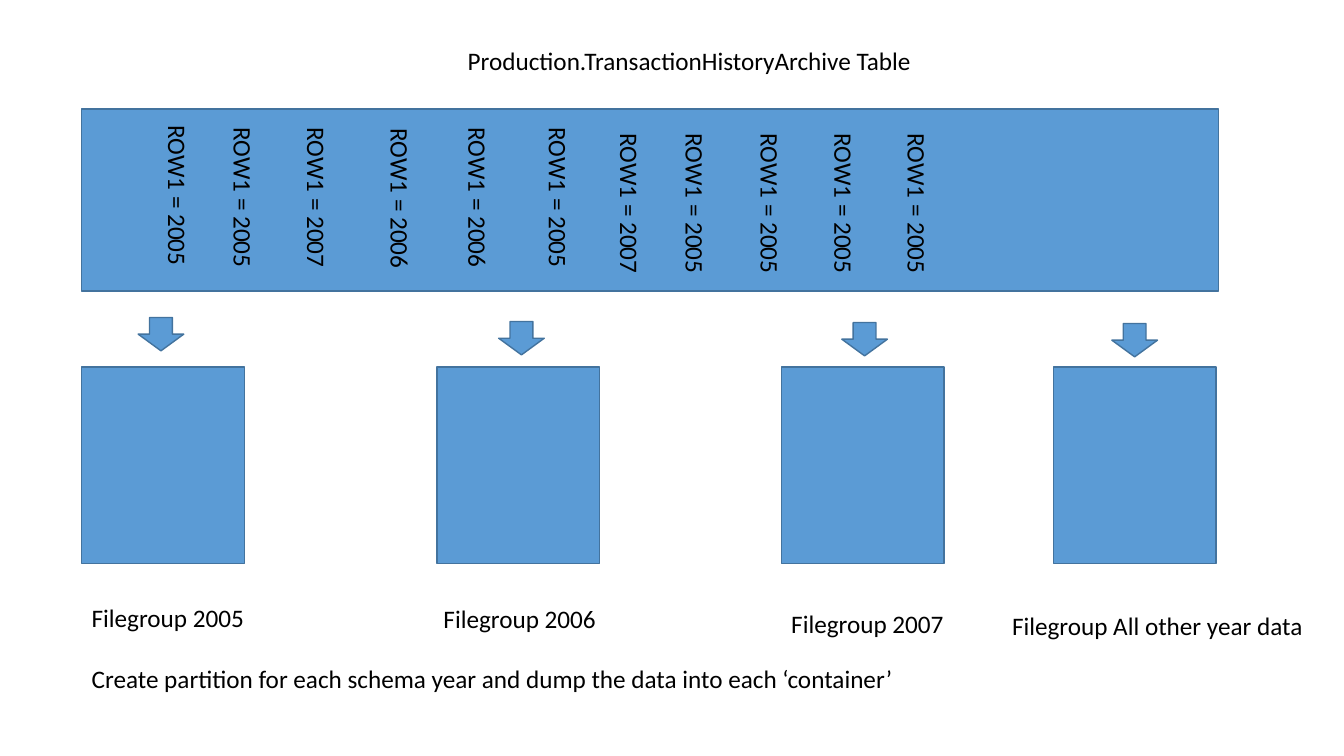
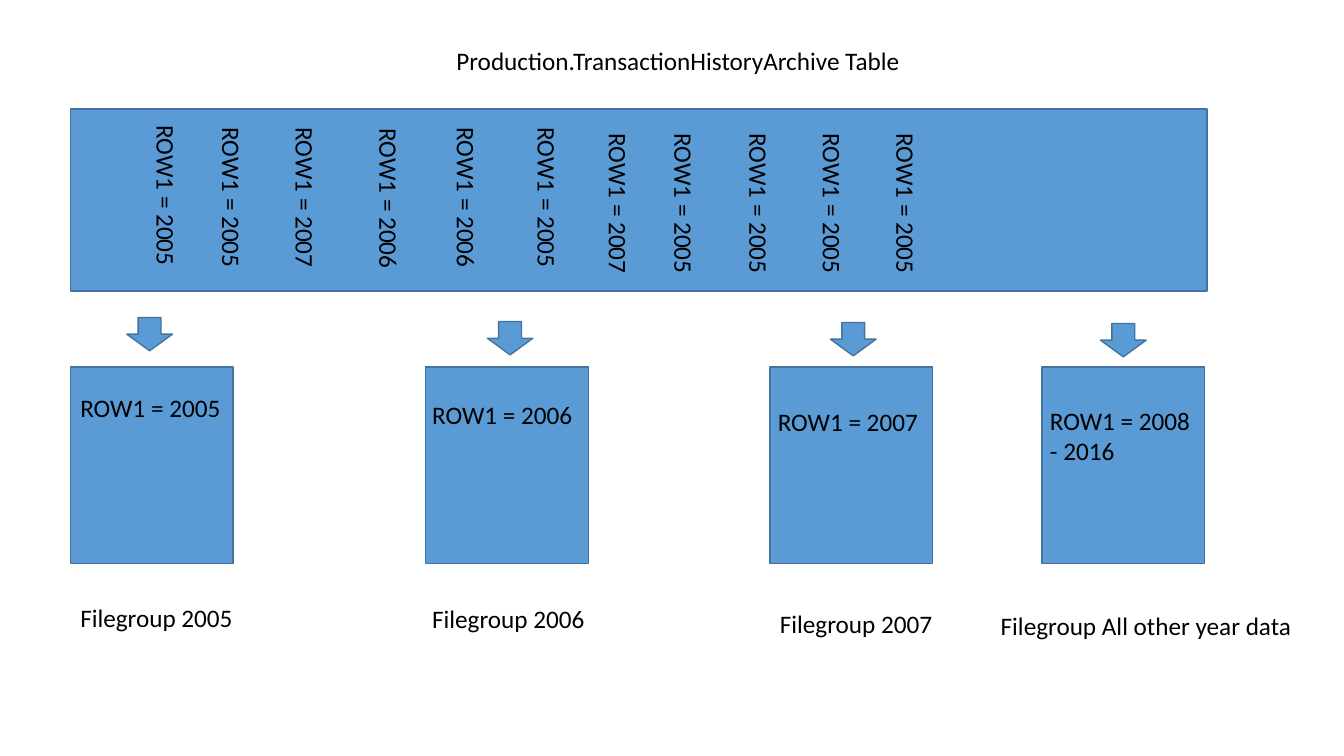
from pptx import Presentation
from pptx.dml.color import RGBColor
from pptx.enum.shapes import MSO_SHAPE
from pptx.enum.text import MSO_AUTO_SIZE
from pptx.util import Pt

FONT, TEXT_SIZE = "Calibri", 18
BLACK, BLUE, OUTLINE = "000000", "5B9BD5", "43739E"
LINE_HEIGHT, ROW_WIDTH = 29, 118

TITLE = "Production.TransactionHistoryArchive Table"
ROWS = [
    (2005, 9.4, 126.7), (2005, 56.2, 128.2), (2007, 108.7, 128.2),
    (2006, 168.5, 128.9), (2006, 223.9, 128.2), (2005, 281.5, 128.2),
    (2007, 332.4, 132.5), (2005, 379.2, 132.5), (2005, 432.7, 132.5),
    (2005, 485.3, 132.5), (2005, 537.8, 132.5),
]
FILEGROUPS = [
    {"name": "2005", "box": 0, "arrow": (40.3, 226.8), "label": (0, 427, 125.3),
     "years": "2005", "content": (0, 276.5, 29.5)},
    {"name": "2006", "box": 253.8, "arrow": (297.8, 229.7), "label": (251.3, 427.7, 125.3),
     "years": "2006", "content": (251.3, 281.5, 29.5)},
    {"name": "2007", "box": 499.7, "arrow": (542.9, 230.4), "label": (499.7, 431.3, 125.3),
     "years": "2007", "content": (498.2, 286.6, 29.5)},
    {"name": "All other year data", "box": 694.1, "arrow": (735.8, 231.1),
     "label": (657.4, 432.7, 223.9), "years": "2008 - 2016", "content": (692.6, 285.8, 51.1)},
]
SLIDES = [
    {"left": 58.4, "caption": "Create partition for each schema year and dump the data into each ‘container’",
     "filled": False},
    {"left": 50.3, "caption": None, "filled": True},
]


def color(value):
    return RGBColor.from_string(value)


def add_block(page, kind, left, top, width, height):
    block = page.shapes.add_shape(kind, Pt(left), Pt(top), Pt(width), Pt(height))
    block.shadow.inherit = False
    block.fill.solid()
    block.fill.fore_color.rgb = color(BLUE)
    block.line.color.rgb = color(OUTLINE)
    block.line.width = Pt(1)


def add_text(page, text, left, top, width, height=LINE_HEIGHT, rotation=0):
    box = page.shapes.add_textbox(Pt(left), Pt(top), Pt(width), Pt(height))
    box.rotation = rotation
    frame = box.text_frame
    frame.word_wrap = True
    frame.auto_size = MSO_AUTO_SIZE.SHAPE_TO_FIT_TEXT
    span = frame.paragraphs[0].add_run()
    span.text = text
    span.font.name = FONT
    span.font.size = Pt(TEXT_SIZE)
    span.font.color.rgb = color(BLACK)


def add_filegroup(page, group, left, filled):
    add_block(page, MSO_SHAPE.RECTANGLE, left + group["box"], 262.1, 116.2, 140.6)
    arrow_left, arrow_top = group["arrow"]
    add_block(page, MSO_SHAPE.DOWN_ARROW, left + arrow_left, arrow_top, 32.6, 23.8)
    label_left, label_top, label_width = group["label"]
    add_text(page, f"Filegroup {group['name']}", left + label_left, label_top, label_width)
    if filled:
        content_left, content_top, height = group["content"]
        add_text(page, f"ROW1 = {group['years']}", left + content_left, content_top, ROW_WIDTH, height)


def add_page(deck, left, caption, filled):
    page = deck.slides.add_slide(deck.slide_layouts[6])
    add_block(page, MSO_SHAPE.RECTANGLE, left, 78, 811.8, 130)
    add_text(page, TITLE, left + 268.6, 29, 347)
    for year, offset, top in ROWS:
        add_text(page, f"ROW1 = {year}", left + offset, top, ROW_WIDTH, 29.5, 90)
    for group in FILEGROUPS:
        add_filegroup(page, group, left, filled)
    if caption:
        add_text(page, caption, left, 470.2, 646.6)


def main():
    """Build the two table partitioning slides."""
    deck = Presentation()
    deck.slide_width, deck.slide_height = Pt(960), Pt(540)
    for slide in SLIDES:
        add_page(deck, **slide)
    deck.save("out.pptx")


if __name__ == "__main__":
    main()
